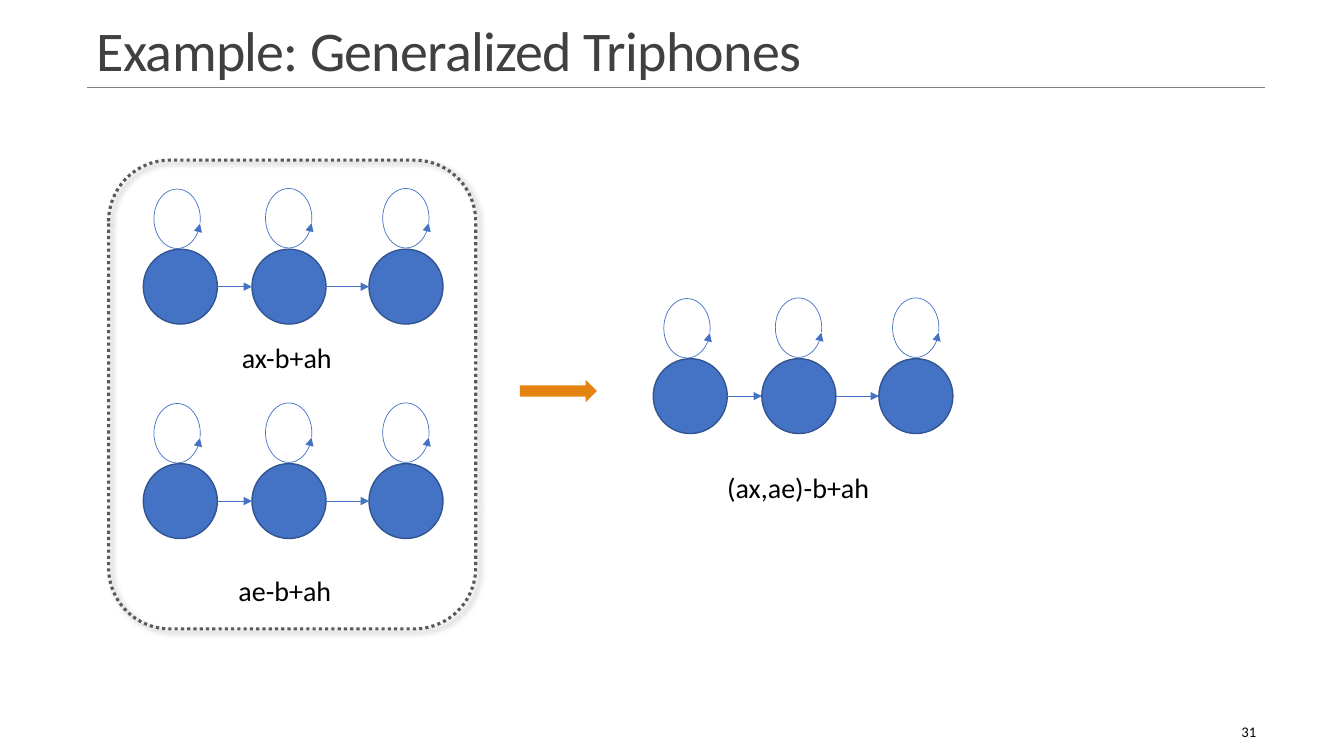
import pptx
import pptx.util
import pptx.dml.color
import pptx.enum.dml
import pptx.enum.shapes
import pptx.enum.text
import pptx.oxml
import pptx.oxml.ns

Pt = pptx.util.Pt
SHAPE = pptx.enum.shapes.MSO_SHAPE
ALIGN = pptx.enum.text.PP_ALIGN
ANCHOR = pptx.enum.text.MSO_ANCHOR


def color(hex_value):
    return pptx.dml.color.RGBColor.from_string(hex_value)


def write(frame, text, size=20, ink="000000", align=ALIGN.LEFT,
          anchor=ANCHOR.TOP, line_spacing=None, tracking=None):
    """Fill a text frame with one formatted paragraph."""
    frame.word_wrap = True
    frame.auto_size = pptx.enum.text.MSO_AUTO_SIZE.NONE
    frame.vertical_anchor = anchor
    paragraph = frame.paragraphs[0]
    paragraph.alignment = align
    paragraph.line_spacing = line_spacing
    run = paragraph.add_run()
    run.text = text
    run.font.name = "Calibri"
    run.font.size = Pt(size)
    run.font.color.rgb = color(ink)
    if tracking is not None:
        run.font._element.set("spc", str(round(tracking * 100)))


def add_xml(parent, markup):
    declaration = pptx.oxml.ns.nsdecls("a")
    element = pptx.oxml.parse_xml(markup.replace(">", f" {declaration}>", 1))
    parent.append(element)


class Diagram:
    BLUE, BLUE_EDGE, ORANGE = "4472C4", "325491", "E48312"
    GRAY, DOTTED, TITLE_INK = "808080", "595959", "404040"
    STATE_X = (0, 77.6, 161.2)
    LOOPS = ((2.9, -38.3), (82.6, -38.7), (166.3, -38.7))
    STATE_W, STATE_H = 52.9, 53.5
    TRIANGLE = '<a:{}End type="triangle"></a:{}End>'

    def __init__(self, slide):
        self.slide = slide

    def title(self, text, *box):
        heading = self.slide.shapes.title
        heading.left, heading.top, heading.width, heading.height = map(Pt, box)
        write(heading.text_frame, text, size=40, ink=self.TITLE_INK,
              anchor=ANCHOR.BOTTOM, line_spacing=0.85, tracking=-0.5)

    def label(self, text, *box, **style):
        caption = self.slide.shapes.add_textbox(*map(Pt, box))
        write(caption.text_frame, text, **style)

    def shape(self, kind, *box, fill=None, line=None, weight=1, parent=None):
        part = (parent or self.slide).shapes.add_shape(kind, *map(Pt, box))
        part.shadow.inherit = False
        if fill:
            part.fill.solid()
            part.fill.fore_color.rgb = color(fill)
        else:
            part.fill.background()
        if line:
            part.line.color.rgb = color(line)
            part.line.width = Pt(weight)
        else:
            part.line.fill.background()
        return part

    def line(self, *ends, ink, arrow=False, parent=None):
        link = (parent or self.slide).shapes.add_connector(
            pptx.enum.shapes.MSO_CONNECTOR.STRAIGHT, *map(Pt, ends))
        link.line.color.rgb = color(ink)
        link.line.width = Pt(0.5)
        if arrow:
            add_xml(link.line._get_or_add_ln(), self.TRIANGLE.format("tail", "tail"))
        add_xml(link._element.spPr, "<a:effectLst></a:effectLst>")

    def self_loop(self, left, top, parent):
        loop = self.shape(SHAPE.ARC, left, top, 42.5, 33.1,
                          line=self.BLUE, weight=0.5, parent=parent)
        loop.rotation = 270
        loop.adjustments[0] = 61.316
        loop.adjustments[1] = 60.484
        add_xml(loop.line._get_or_add_ln(), self.TRIANGLE.format("head", "head"))

    def triphone_model(self, left, top):
        """Three states in a row, linked, each with a self-loop."""
        model = self.slide.shapes.add_group_shape()
        for x in self.STATE_X:
            self.shape(SHAPE.OVAL, left + x, top, self.STATE_W, self.STATE_H,
                       fill=self.BLUE, line=self.BLUE_EDGE, parent=model)
        middle = top + self.STATE_H / 2
        for start, end in zip(self.STATE_X, self.STATE_X[1:]):
            self.line(left + start + self.STATE_W, middle, left + end, middle,
                      ink=self.BLUE, arrow=True, parent=model)
        for x, y in self.LOOPS:
            self.self_loop(left + x, top + y, model)

    def dotted_frame(self, *box):
        frame = self.shape(SHAPE.ROUNDED_RECTANGLE, *box,
                           line=self.DOTTED, weight=2.25)
        frame.line.dash_style = pptx.enum.dml.MSO_LINE.ROUND_DOT
        effects = frame._element.spPr.find(pptx.oxml.ns.qn("a:effectLst"))
        add_xml(effects,
                '<a:outerShdw blurRad="50800" dist="38100" dir="2700000"'
                ' algn="tl" rotWithShape="0"><a:srgbClr val="000000">'
                '<a:alpha val="40000"/></a:srgbClr></a:outerShdw>')


def main():
    deck = pptx.Presentation()
    deck.slide_width, deck.slide_height = Pt(960), Pt(540)
    diagram = Diagram(deck.slides.add_slide(deck.slide_layouts[5]))

    # Heading and rule
    diagram.line(62, 62.7, 903.6, 62.7, ink=diagram.GRAY)
    diagram.title("Example: Generalized Triphones", 62, 9.4, 842.4, 53.3)

    # Separate triphones
    diagram.triphone_model(102.4, 178)
    diagram.triphone_model(102.4, 331.2)
    diagram.label("ax-b+ah", 165.6, 240, 85.7, 31.5)
    diagram.label("ae-b+ah", 163.2, 406.4, 85.7, 31.5)
    diagram.dotted_frame(77.6, 114.4, 262.2, 334.8)

    # Merged triphone
    diagram.triphone_model(466.6, 256.2)
    diagram.shape(SHAPE.RIGHT_ARROW, 371.4, 271.4, 55, 16, fill=diagram.ORANGE)
    diagram.label("(ax,ae)-b+ah", 493.8, 332.7, 152.6, 31.5, align=ALIGN.CENTER)

    # Page number
    diagram.label("31", 801.4, 508.5, 103, 28.8, size=10.5,
                  align=ALIGN.RIGHT, anchor=ANCHOR.MIDDLE)

    deck.save("out.pptx")


if __name__ == "__main__":
    main()
